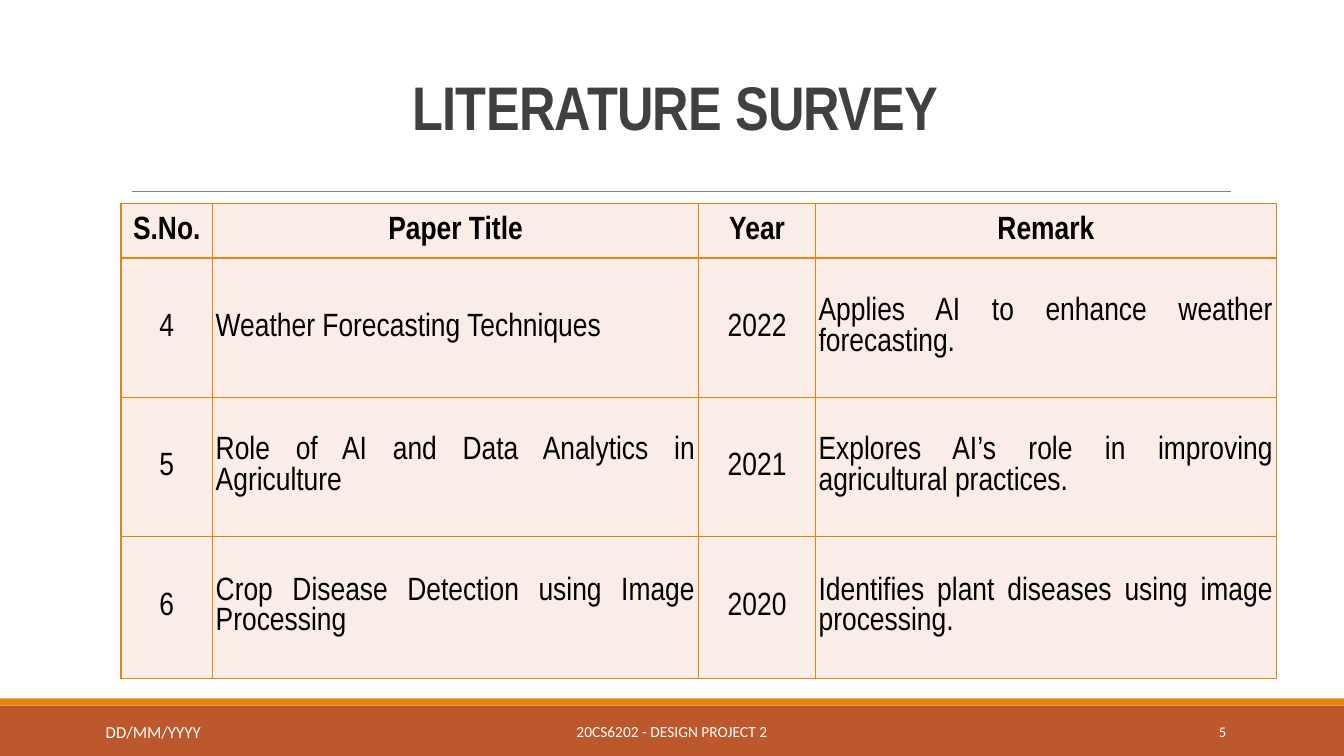
from dataclasses import dataclass

from lxml.etree import SubElement
from pptx import Presentation
from pptx.dml.color import RGBColor
from pptx.enum.shapes import MSO_CONNECTOR, MSO_SHAPE
from pptx.enum.text import MSO_ANCHOR, PP_ALIGN
from pptx.oxml.ns import qn
from pptx.util import Inches, Pt

NARROW, SANS = "Arial Narrow", "Calibri"
ORANGE, RUST, PALE = "E48312", "BD582C", "FAEDE7"
WHITE, BLACK, CHARCOAL, GRAY = "FFFFFF", "000000", "404040", "808080"

COLUMN_WIDTHS = (0.91, 4.82, 1.16, 4.57)
ROW_HEIGHTS = (0.54, 1.38, 1.38, 1.41)
COLUMN_ALIGNMENTS = (PP_ALIGN.CENTER, PP_ALIGN.JUSTIFY) * 2
PAPERS = (
    ("S.No.", "Paper Title", "Year", "Remark"),
    ("4", "Weather Forecasting Techniques", "2022",
     "Applies AI to enhance weather forecasting."),
    ("5", "Role of AI and Data Analytics in Agriculture", "2021",
     "Explores AI’s role in improving agricultural practices."),
    ("6", "Crop Disease Detection using Image Processing", "2020",
     "Identifies plant diseases using image processing."),
)
CELL_FORMAT = {
    "margin_left": Inches(0.03), "margin_right": Inches(0.03),
    "margin_top": Inches(0.02), "margin_bottom": Inches(0.02),
    "vertical_anchor": MSO_ANCHOR.MIDDLE,
}


@dataclass
class Band:
    top: float
    height: float
    color: str


@dataclass
class FooterText:
    text: str
    left: float
    top: float
    width: float
    height: float
    size: float
    alignment: PP_ALIGN


BANDS = (Band(7, 0.5, RUST), Band(6.93, 0.07, ORANGE))
FOOTER_TEXTS = (
    FooterText("20CS6202 - DESIGN PROJECT 2", 4.03, 7.06, 5.27, 0.4, 11, PP_ALIGN.CENTER),
    FooterText("5", 10.83, 7.06, 1.43, 0.4, 10.5, PP_ALIGN.RIGHT),
    FooterText("DD/MM/YYYY", 0.95, 7.11, 2.59, 0.3, 12, PP_ALIGN.LEFT),
)


def rgb(color: str) -> RGBColor:
    return RGBColor.from_string(color)


def set_attributes(target, values: dict) -> None:
    for name, value in values.items():
        setattr(target, name, value)


def write_text(text_frame, text: str, alignment: PP_ALIGN, font: str,
               size: float, color: str, bold: bool = False):
    paragraph = text_frame.paragraphs[0]
    paragraph.alignment = alignment
    run = paragraph.add_run()
    run.text = text
    set_attributes(run.font, {"name": font, "size": Pt(size), "bold": bold})
    run.font.color.rgb = rgb(color)
    return run


def add_band(slide, band: Band, width: int) -> None:
    shape = slide.shapes.add_shape(
        MSO_SHAPE.RECTANGLE, 0, Inches(band.top), width, Inches(band.height))
    shape.shadow.inherit = False
    shape.fill.solid()
    shape.fill.fore_color.rgb = rgb(band.color)
    shape.line.fill.background()


def add_rule(slide) -> None:
    rule = slide.shapes.add_connector(
        MSO_CONNECTOR.STRAIGHT, Inches(1.31), Inches(1.9), Inches(12.21), Inches(1.9))
    rule.line.color.rgb = rgb(GRAY)
    rule.line.width = Pt(0.5)
    SubElement(rule._element.spPr, qn("a:effectLst"))


def format_title(title) -> None:
    set_attributes(title, {"left": Inches(1.2), "top": Inches(0.31),
                           "width": Inches(11), "height": Inches(1.59)})
    set_attributes(title.text_frame, {"word_wrap": True,
                                      "vertical_anchor": MSO_ANCHOR.MIDDLE})
    run = write_text(title.text_frame, "LITERATURE SURVEY", PP_ALIGN.CENTER,
                     NARROW, 44, CHARCOAL, bold=True)
    title.text_frame.paragraphs[0].line_spacing = 0.85
    run.font._element.set("spc", "-50")


def add_borders(cell) -> None:
    """Draw all four cell edges; they must precede the fill in the XML."""
    properties = cell._tc.get_or_add_tcPr()
    for edge in ("lnL", "lnR", "lnT", "lnB"):
        line = SubElement(properties, qn(f"a:{edge}"), w=str(Pt(1)))
        fill = SubElement(line, qn("a:solidFill"))
        SubElement(fill, qn("a:srgbClr"), val=ORANGE)


def add_papers_table(slide) -> None:
    table = slide.shapes.add_table(
        len(ROW_HEIGHTS), len(COLUMN_WIDTHS), Inches(1.2), Inches(2.02),
        Inches(sum(COLUMN_WIDTHS)), Inches(sum(ROW_HEIGHTS))).table
    table.horz_banding = False
    for column, width in zip(table.columns, COLUMN_WIDTHS):
        column.width = Inches(width)
    for row_index, (row, height) in enumerate(zip(table.rows, ROW_HEIGHTS)):
        row.height = Inches(height)
        is_header = row_index == 0
        for cell, text, alignment in zip(row.cells, PAPERS[row_index], COLUMN_ALIGNMENTS):
            set_attributes(cell, CELL_FORMAT)
            add_borders(cell)
            cell.fill.solid()
            cell.fill.fore_color.rgb = rgb(PALE)
            write_text(cell.text_frame, text, PP_ALIGN.CENTER if is_header else alignment,
                       NARROW, 23, BLACK, bold=is_header)


def add_footer_text(slide, footer: FooterText) -> None:
    text_box = slide.shapes.add_textbox(
        Inches(footer.left), Inches(footer.top), Inches(footer.width), Inches(footer.height))
    set_attributes(text_box.text_frame, {"word_wrap": True,
                                         "vertical_anchor": MSO_ANCHOR.MIDDLE})
    write_text(text_box.text_frame, footer.text, footer.alignment, SANS, footer.size, WHITE)


def main() -> None:
    presentation = Presentation()
    set_attributes(presentation, {"slide_width": Inches(13.33), "slide_height": Inches(7.5)})
    slide = presentation.slides.add_slide(presentation.slide_layouts[5])
    for band in BANDS:
        add_band(slide, band, presentation.slide_width)
    add_rule(slide)
    add_papers_table(slide)
    format_title(slide.shapes.title)
    for footer in FOOTER_TEXTS:
        add_footer_text(slide, footer)
    presentation.save("out.pptx")


if __name__ == "__main__":
    main()
